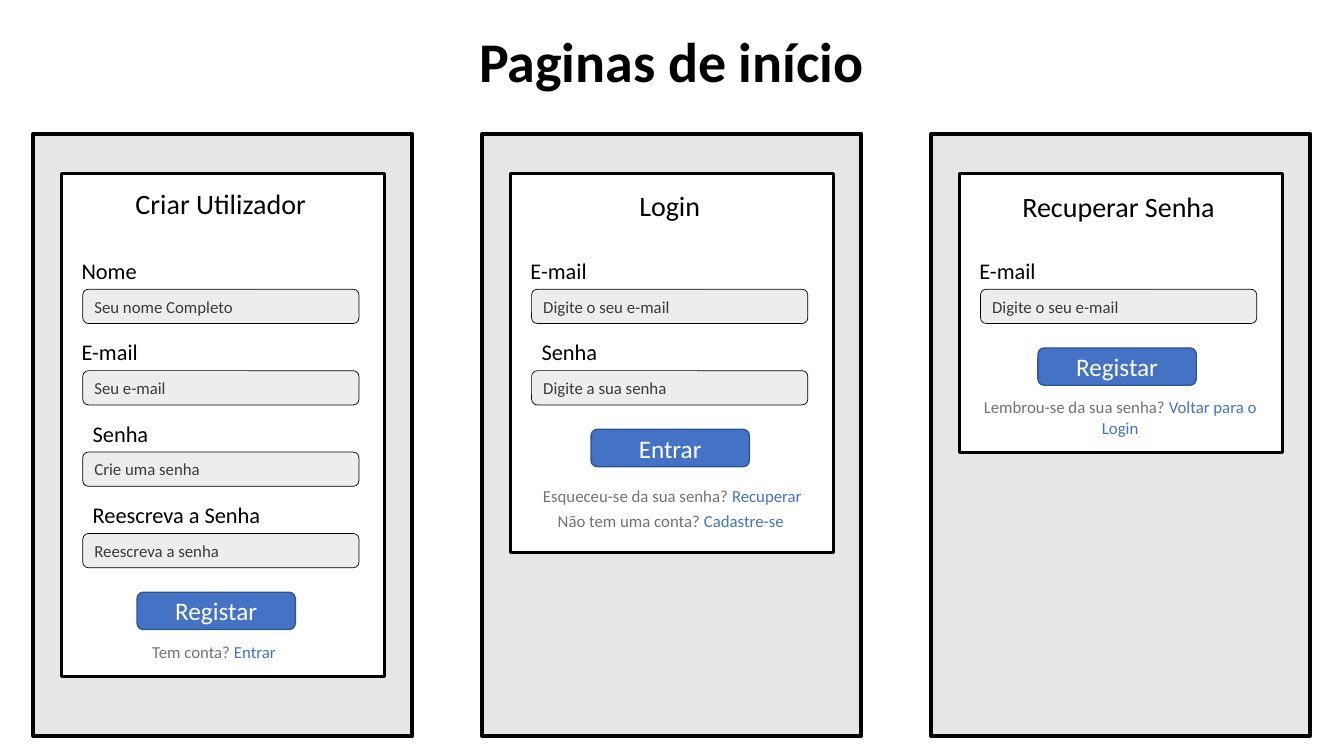
from pptx import Presentation
from pptx.dml.color import RGBColor
from pptx.enum.shapes import MSO_SHAPE as SHAPE
from pptx.enum.text import MSO_ANCHOR as ANCHOR, MSO_AUTO_SIZE as AUTO, PP_ALIGN as ALIGN
from pptx.util import Inches, Pt

BLACK = RGBColor(0x00, 0x00, 0x00)
WHITE = RGBColor(0xFF, 0xFF, 0xFF)
SCREEN_GREY = RGBColor(0xE7, 0xE6, 0xE6)
FIELD_GREY = RGBColor(0xED, 0xED, 0xED)
HINT = RGBColor(0x3B, 0x38, 0x38)
NOTE = RGBColor(0x76, 0x71, 0x71)
BLUE = RGBColor(0x44, 0x72, 0xC4)
DARK_BLUE = RGBColor(0x32, 0x54, 0x91)

# Grid in percent of the slide's width (x) and height (y)
MARGIN, PITCH, SCREEN_W = 2.48, 33.4, 28.2
SCREEN_TOP, SCREEN_H = 17.73, 79.6
CARD_X, CARD_TOP, CARD_W = 2.08, 22.93, 24.08
CENTRE = 13.95
FIELD_X, FIELD_W, FIELD_H = 3.68, 20.55, 4.53
LABEL_X, LABEL_H = 2.85, 4.93
ROW_TOP, ROW = 33.33, 10.77
BUTTON_DROP, BUTTON_W = 12.7, 11.78


def write(p, text, size=12, color=BLACK, bold=False, align=ALIGN.LEFT):
    """Add one formatted run to a paragraph."""
    p.alignment = align
    r = p.add_run()
    r.text = text
    r.font.name = "Calibri"
    r.font.size = Pt(size)
    r.font.bold = bold
    r.font.color.rgb = color


class Wireframe:
    def __init__(self, prs):
        self.prs = prs
        self.slide = prs.slides.add_slide(prs.slide_layouts[5])
        self.left = 0

    def place(self, x, y, w, h):
        across, down = self.prs.slide_width / 100, self.prs.slide_height / 100
        return (round((self.left + x) * across), round(y * down),
                round(w * across), round(h * down))

    def title(self, text, x, y, w, h):
        sp = self.slide.shapes.title
        sp.left, sp.top, sp.width, sp.height = self.place(x, y, w, h)
        tf = sp.text_frame
        tf.word_wrap, tf.auto_size = False, AUTO.SHAPE_TO_FIT_TEXT
        tf.vertical_anchor = ANCHOR.TOP
        write(tf.paragraphs[0], text, size=40, bold=True, align=ALIGN.CENTER)

    def box(self, kind, x, y, w, h, fill, line=BLACK, weight=0.5):
        sp = self.slide.shapes.add_shape(kind, *self.place(x, y, w, h))
        sp.shadow.inherit = False
        sp.fill.solid()
        sp.fill.fore_color.rgb = fill
        sp.line.color.rgb = line
        sp.line.width = Pt(weight)
        sp.text_frame.vertical_anchor = ANCHOR.MIDDLE
        return sp.text_frame.paragraphs[0]

    def text(self, x, y, w, h, wrap=False):
        tf = self.slide.shapes.add_textbox(*self.place(x, y, w, h)).text_frame
        tf.word_wrap, tf.auto_size = wrap, AUTO.SHAPE_TO_FIT_TEXT
        return tf.paragraphs[0]

    def field(self, row, label, hint, x, w):
        y = ROW_TOP + row * ROW
        write(self.text(x, y, w, LABEL_H), label, size=16)
        p = self.box(SHAPE.ROUNDED_RECTANGLE, FIELD_X, y + LABEL_H, FIELD_W, FIELD_H, FIELD_GREY)
        write(p, hint, color=HINT)

    def button(self, text, x, rows):
        y = ROW_TOP + (rows - 1) * ROW + BUTTON_DROP
        p = self.box(SHAPE.ROUNDED_RECTANGLE, x, y, BUTTON_W, LABEL_H, BLUE, DARK_BLUE, 1)
        write(p, text, size=18, color=WHITE, align=ALIGN.CENTER)

    def link(self, question, action, x, y, w, h=4, align=ALIGN.CENTER):
        p = self.text(x, y, w, h, wrap=True)
        write(p, question, color=NOTE, align=align)
        write(p, action, color=BLUE, align=align)

    def screen(self, col, heading, heading_y, heading_w, card_h, fields, button, links):
        self.left = MARGIN + col * PITCH
        self.box(SHAPE.RECTANGLE, 0, SCREEN_TOP, SCREEN_W, SCREEN_H, SCREEN_GREY, weight=3)
        self.box(SHAPE.RECTANGLE, CARD_X, CARD_TOP, CARD_W, card_h, WHITE, weight=2.25)
        p = self.text(CENTRE - heading_w / 2, heading_y, heading_w, 5.87)
        write(p, heading, size=20, align=ALIGN.CENTER)
        for row, entry in enumerate(fields):
            self.field(row, *entry)
        self.button(*button, len(fields))
        for entry in links:
            self.link(*entry)


# Each field: label, hint, label x, label width
SCREENS = [
    dict(heading="Criar Utilizador", heading_y=24, heading_w=14.33, card_h=66.53,
         fields=[("Nome", "Seu nome Completo", LABEL_X, 5.7),
                 ("E-mail", "Seu e-mail", LABEL_X, 5.78),
                 ("Senha", "Crie uma senha", FIELD_X, 5.7),
                 ("Reescreva a Senha", "Reescreva a senha", FIELD_X, 14.18)],
         button=("Registar", 7.72),
         links=[("Tem conta? ", "Entrar", 8.1, 84.27, 11.03, 4, ALIGN.LEFT)]),
    dict(heading="Login", heading_y=24.27, heading_w=6.08, card_h=50.13,
         fields=[("E-mail", "Digite o seu e-mail", LABEL_X, 5.78),
                 ("Senha", "Digite a sua senha", FIELD_X, 5.7)],
         button=("Entrar", 8.1),
         links=[("Esqueceu-se da sua senha? ", "Recuperar", 3.53, 63.6, 21.23),
                ("Não tem uma conta? ", "Cadastre-se", 4.73, 66.93, 18.6)]),
    dict(heading="Recuperar Senha", heading_y=24.4, heading_w=15.83, card_h=36.93,
         fields=[("E-mail", "Digite o seu e-mail", LABEL_X, 5.78)],
         button=("Registar", 7.95),
         links=[("Lembrou-se da sua senha? ", "Voltar para o Login", 2.33, 51.87, 23.48, 6.67)]),
]


def main():
    prs = Presentation()
    prs.slide_width, prs.slide_height = Inches(13.33), Inches(7.5)
    page = Wireframe(prs)
    page.title("Paginas de início", 34.73, 2.8, 30.46, 10.27)
    # Three app screens side by side
    for col, content in enumerate(SCREENS):
        page.screen(col, **content)
    prs.save("out.pptx")


if __name__ == "__main__":
    main()
